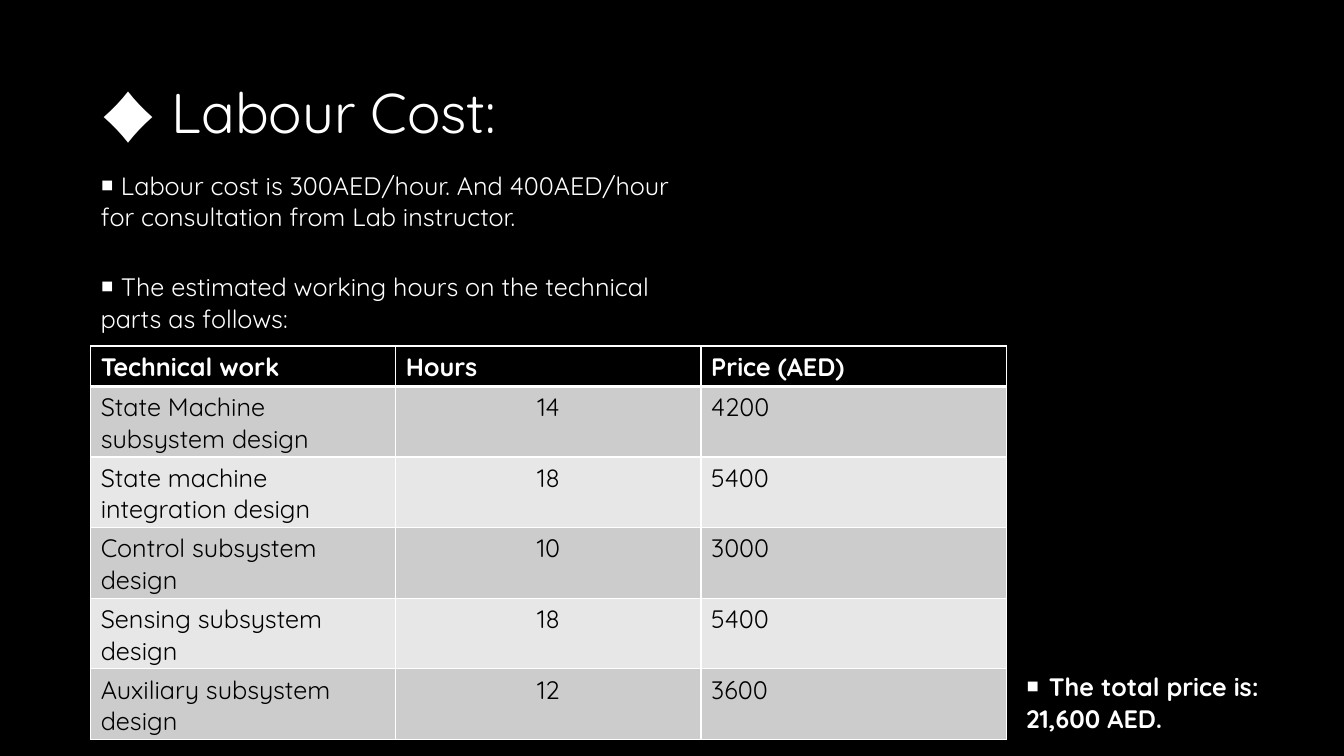
from dataclasses import dataclass

import pptx
import pptx.dml.color
import pptx.enum.text
import pptx.oxml
import pptx.oxml.ns
import pptx.util

Pt = pptx.util.Pt
Align = pptx.enum.text.PP_ALIGN


@dataclass(frozen=True)
class Theme:
    font: str = "Quicksand"
    black: str = "000000"
    white: str = "FFFFFF"
    bands: tuple[str, str] = ("CCCCCC", "E7E7E7")
    title_size: int = 40
    body_size: int = 18
    bullet_size: int = 24
    thin_line: int = 1
    thick_line: int = 3


@dataclass(frozen=True)
class Note:
    """A text box of bulleted paragraphs."""
    left: float
    top: float
    width: float
    height: float
    paragraphs: tuple[str, ...]
    bullet: str = "▪"
    bold: bool = False


@dataclass(frozen=True)
class Work:
    name: str
    hours: int
    price: int


THEME = Theme()
TABLE_LEFT, TABLE_TOP = 64.8, 247.2
COLUMN_WIDTH, HEADER_HEIGHT, ROW_HEIGHT = 218, 23, 48.2
PARAGRAPH_GAP = 21.8

HEADINGS = ("Technical work", "Hours", "Price (AED)")
WORKS = (
    Work("State Machine subsystem design", 14, 4200),
    Work("State machine integration design", 18, 5400),
    Work("Control subsystem design", 10, 3000),
    Work("Sensing subsystem design", 18, 5400),
    Work("Auxiliary subsystem design", 12, 3600),
)
NOTES = (
    Note(64.8, 111.8, 442, 131, (
        " Labour cost is 300AED/hour. And 400AED/hour for consultation from Lab instructor.",
        " The estimated working hours on the technical parts as follows:",
    )),
    Note(725.8, 470.2, 190, 58.3, ("The total price is: 21,600 AED.",),
         bullet="▪ ", bold=True),
)


def rgb(color: str) -> pptx.dml.color.RGBColor:
    return pptx.dml.color.RGBColor.from_string(color)


def add_text(para, text: str, *, size: int = THEME.body_size,
             color: str = THEME.white, bold: bool = False) -> None:
    span = para.add_run()
    span.text = text
    span.font.name = THEME.font
    span.font.size = Pt(size)
    span.font.bold = bold
    span.font.color.rgb = rgb(color)


def add_box(page, left: float, top: float, width: float, height: float, *,
            wrap: bool = True):
    box = page.shapes.add_textbox(Pt(left), Pt(top), Pt(width), Pt(height))
    box.text_frame.word_wrap = wrap
    box.text_frame.auto_size = pptx.enum.text.MSO_AUTO_SIZE.SHAPE_TO_FIT_TEXT
    return box.text_frame


def add_note(page, note: Note) -> None:
    frame = add_box(page, note.left, note.top, note.width, note.height)
    for index, text in enumerate(note.paragraphs):
        para = frame.add_paragraph() if index else frame.paragraphs[0]
        if index:
            para.space_before = Pt(PARAGRAPH_GAP)
        add_text(para, note.bullet, size=THEME.bullet_size, bold=note.bold)
        add_text(para, text, bold=note.bold)


def set_borders(cell, widths: dict[str, int]) -> None:
    properties = cell._tc.get_or_add_tcPr()
    for index, (side, width) in enumerate(widths.items()):
        line = pptx.oxml.parse_xml(
            f'<a:{side} {pptx.oxml.ns.nsdecls("a")} w="{Pt(width)}">'
            f'<a:solidFill><a:srgbClr val="{THEME.white}"/></a:solidFill></a:{side}>')
        properties.insert(index, line)


def add_cost_table(page) -> None:
    rows = [HEADINGS] + [(work.name, work.hours, work.price) for work in WORKS]
    table = page.shapes.add_table(
        len(rows), len(HEADINGS), Pt(TABLE_LEFT), Pt(TABLE_TOP),
        Pt(COLUMN_WIDTH * len(HEADINGS)),
        Pt(HEADER_HEIGHT + ROW_HEIGHT * len(WORKS))).table
    for column in table.columns:
        column.width = Pt(COLUMN_WIDTH)
    for row, values in enumerate(rows):
        header = row == 0
        table.rows[row].height = Pt(HEADER_HEIGHT if header else ROW_HEIGHT)
        for column, value in enumerate(values):
            cell = table.cell(row, column)
            cell.fill.solid()
            cell.fill.fore_color.rgb = rgb(
                THEME.black if header else THEME.bands[(row - 1) % 2])
            widths = dict.fromkeys(("lnL", "lnR", "lnT", "lnB"), THEME.thin_line)
            if header:
                widths["lnB"] = THEME.thick_line
            elif row == 1:
                widths["lnT"] = THEME.thick_line
            set_borders(cell, widths)
            para = cell.text_frame.paragraphs[0]
            centred = not header and HEADINGS[column] == "Hours"
            para.alignment = Align.CENTER if centred else Align.LEFT
            add_text(para, str(value), bold=header,
                     color=THEME.white if header else THEME.black)


def main() -> None:
    deck = pptx.Presentation()
    deck.slide_width, deck.slide_height = Pt(960), Pt(540)
    page = deck.slides.add_slide(deck.slide_layouts[6])

    # Background
    page.background.fill.solid()
    page.background.fill.fore_color.rgb = rgb(THEME.black)

    # Title
    title = add_box(page, 64.8, 51.8, 305.3, 55.4, wrap=False)
    add_text(title.paragraphs[0], "♦ Labour Cost:", size=THEME.title_size)

    # Bulleted notes and cost table
    for note in NOTES:
        add_note(page, note)
    add_cost_table(page)

    deck.save("out.pptx")


if __name__ == "__main__":
    main()
